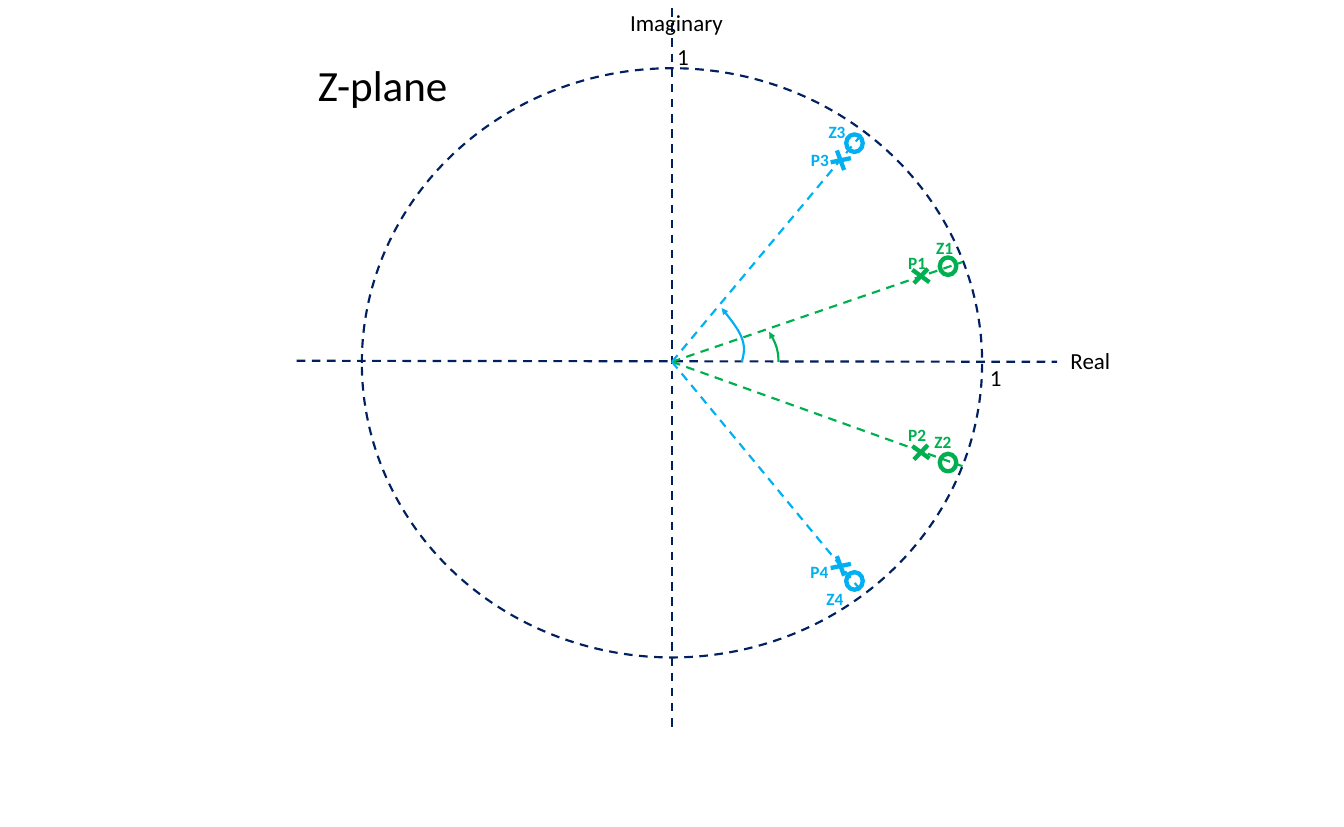
from dataclasses import dataclass

from lxml.etree import SubElement
from pptx import Presentation
from pptx.dml.color import RGBColor
from pptx.enum.dml import MSO_LINE
from pptx.enum.shapes import MSO_CONNECTOR, MSO_SHAPE
from pptx.enum.text import MSO_AUTO_SIZE
from pptx.oxml.ns import qn
from pptx.util import Pt

PX = 9144  # 100 px to the inch


@dataclass(frozen=True)
class Theme:
    font: str = "Calibri"
    ink: RGBColor = RGBColor(0x00, 0x00, 0x00)
    navy: RGBColor = RGBColor(0x00, 0x20, 0x60)
    green: RGBColor = RGBColor(0x00, 0xB0, 0x50)
    blue: RGBColor = RGBColor(0x00, 0xB0, 0xF0)
    title: int = 60
    axis: int = 32
    label: int = 24
    thin: int = 3
    thick: int = 6


theme = Theme()
prs = Presentation()
prs.slide_width, prs.slide_height = 2600 * PX, 1600 * PX
shapes = prs.slides.add_slide(prs.slide_layouts[6]).shapes


def add_stroke(x1, y1, x2, y2, color, width, dashed):
    stroke = shapes.add_connector(
        MSO_CONNECTOR.STRAIGHT, x1 * PX, y1 * PX, x2 * PX, y2 * PX)
    stroke.line.color.rgb = color
    stroke.line.width = Pt(width)
    if dashed:
        stroke.line.dash_style = MSO_LINE.DASH
    SubElement(stroke._element.spPr, qn("a:effectLst"))


def add_ring(left, top, width, height, color, line_width):
    ring = shapes.add_shape(
        MSO_SHAPE.OVAL, left * PX, top * PX, width * PX, height * PX)
    ring.shadow.inherit = False
    ring.fill.background()
    ring.line.color.rgb = color
    ring.line.width = Pt(line_width)
    return ring


# Unit circle and axes
origin = (1300, 700)
unit_circle = add_ring(700, 132, 1200, 1140, theme.navy, theme.thin)
unit_circle.line.dash_style = MSO_LINE.DASH
for axis in [(574, 698, 2045, 700), (1300, 16, 1300, 1417)]:
    add_stroke(*axis, theme.navy, theme.thin, True)

# Pole-zero pairs: colour, ray end, zero's corner, pole's centre
green_arms = [(-17, -12, 16, 12), (-14, 14, 13, -14)]
blue_arms = [(-7, -19, 7, 19), (-19, 4, 20, -4)]
pairs = [
    (theme.green, (1862, 507), (1818, 498), (1782, 534), green_arms),
    (theme.green, (1862, 902), (1818, 878), (1782, 875), green_arms),
    (theme.blue, (1672, 254), (1637, 260), (1626, 310), blue_arms),
    (theme.blue, (1671, 1149), (1637, 1107), (1626, 1095), blue_arms),
]
for color, ray_end, zero, (pole_x, pole_y), arms in pairs:
    add_stroke(*origin, *ray_end, color, theme.thin, True)
    add_ring(*zero, 32, 34, color, theme.thick)
    for x1, y1, x2, y2 in arms:
        add_stroke(pole_x + x1, pole_y + y1, pole_x + x2, pole_y + y2,
                   color, theme.thick, False)

# Angle arrows: cubic Bézier control points, each segment sharing its end
STEPS = 12
angle_arrows = [
    (theme.blue, [(1435, 700), (1439, 686), (1442, 672), (1435, 654),
                  (1429, 637), (1412, 616), (1396, 596)]),
    (theme.green, [(1506, 700), (1506, 690), (1505, 681), (1502, 671),
                   (1499, 661), (1493, 651), (1488, 642)]),
]
for color, controls in angle_arrows:
    curve = []
    for first in range(0, len(controls) - 1, 3):
        segment = controls[first:first + 4]
        for step in range(1, STEPS + 1):
            t = step / STEPS
            weights = ((1 - t) ** 3, 3 * t * (1 - t) ** 2, 3 * t * t * (1 - t), t ** 3)
            curve.append(tuple(
                round(PX * sum(w * point[i] for w, point in zip(weights, segment)))
                for i in (0, 1)))
    start_x, start_y = controls[0]
    builder = shapes.build_freeform(start_x * PX, start_y * PX)
    builder.add_line_segments(curve, close=False)
    arc = builder.convert_to_shape()
    arc.shadow.inherit = False
    arc.fill.background()
    arc.line.color.rgb = color
    arc.line.width = Pt(theme.thin)
    SubElement(arc.line._get_or_add_ln(), qn("a:tailEnd"), type="triangle")

# Wording: text, left, top, width, height, size, colour, bold
captions = [
    ("Z-plane", 605, 109, 275, 111, theme.title, theme.ink, False),
    ("Real", 2061, 666, 98, 64, theme.axis, theme.ink, False),
    ("Imaginary", 1209, 12, 202, 64, theme.axis, theme.ink, False),
    ("1", 1905, 698, 43, 64, theme.axis, theme.ink, False),
    ("1", 1300, 77, 43, 64, theme.axis, theme.ink, False),
]
root_labels = [
    ("P1", 1747, 484, theme.green), ("P2", 1747, 816, theme.green),
    ("Z1", 1801, 455, theme.green), ("Z2", 1798, 829, theme.green),
    ("P3", 1559, 283, theme.blue), ("P4", 1558, 1081, theme.blue),
    ("Z3", 1593, 230, theme.blue), ("Z4", 1589, 1134, theme.blue),
]
captions += [(text, left, top, 57, 50, theme.label, color, True)
             for text, left, top, color in root_labels]
for text, left, top, width, height, size, color, bold in captions:
    caption = shapes.add_textbox(left * PX, top * PX, width * PX, height * PX)
    frame = caption.text_frame
    frame.word_wrap = False
    frame.auto_size = MSO_AUTO_SIZE.SHAPE_TO_FIT_TEXT
    frame.text = text
    font = frame.paragraphs[0].runs[0].font
    font.name = theme.font
    font.size = Pt(size)
    font.bold = bold
    font.color.rgb = color

prs.save("out.pptx")
